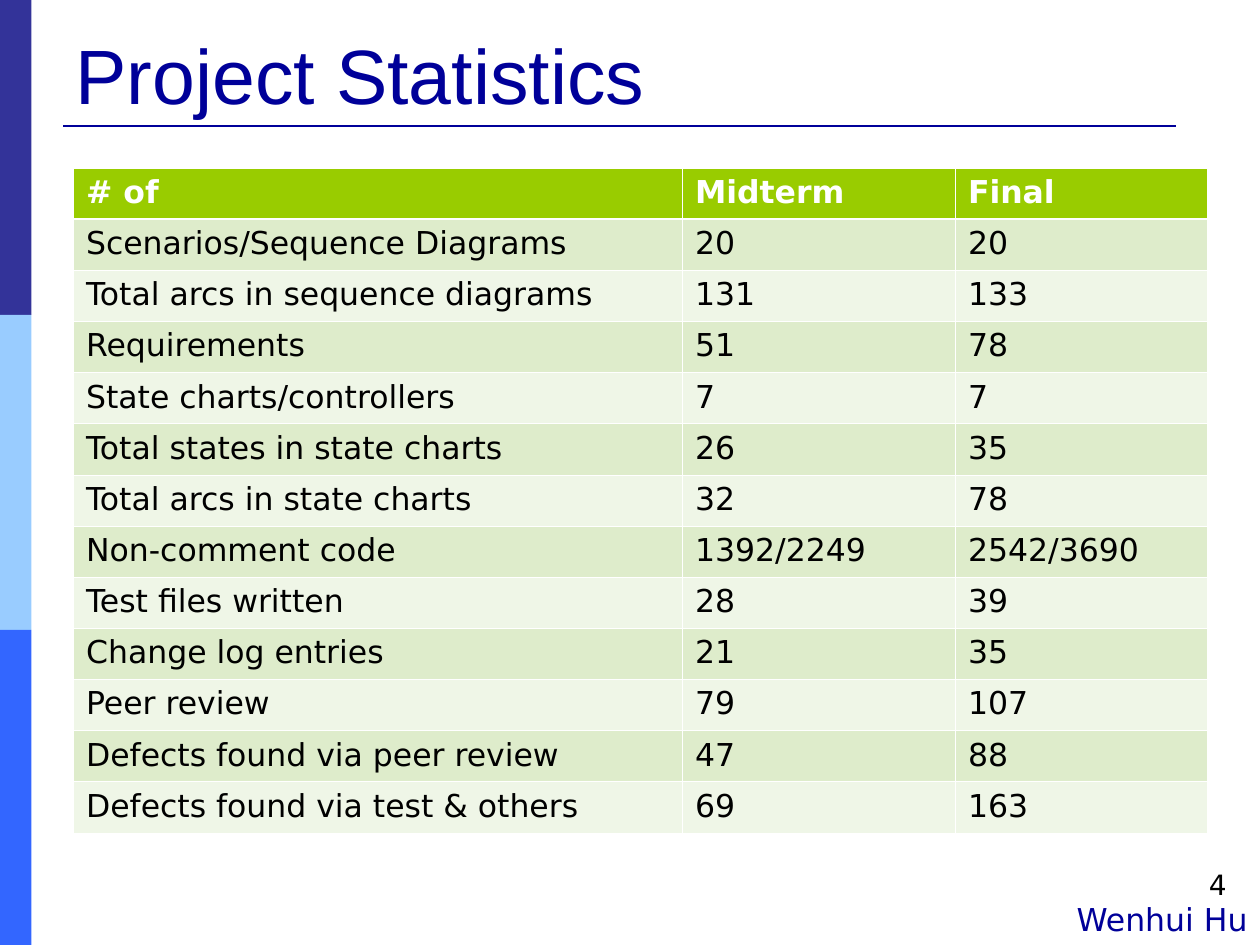
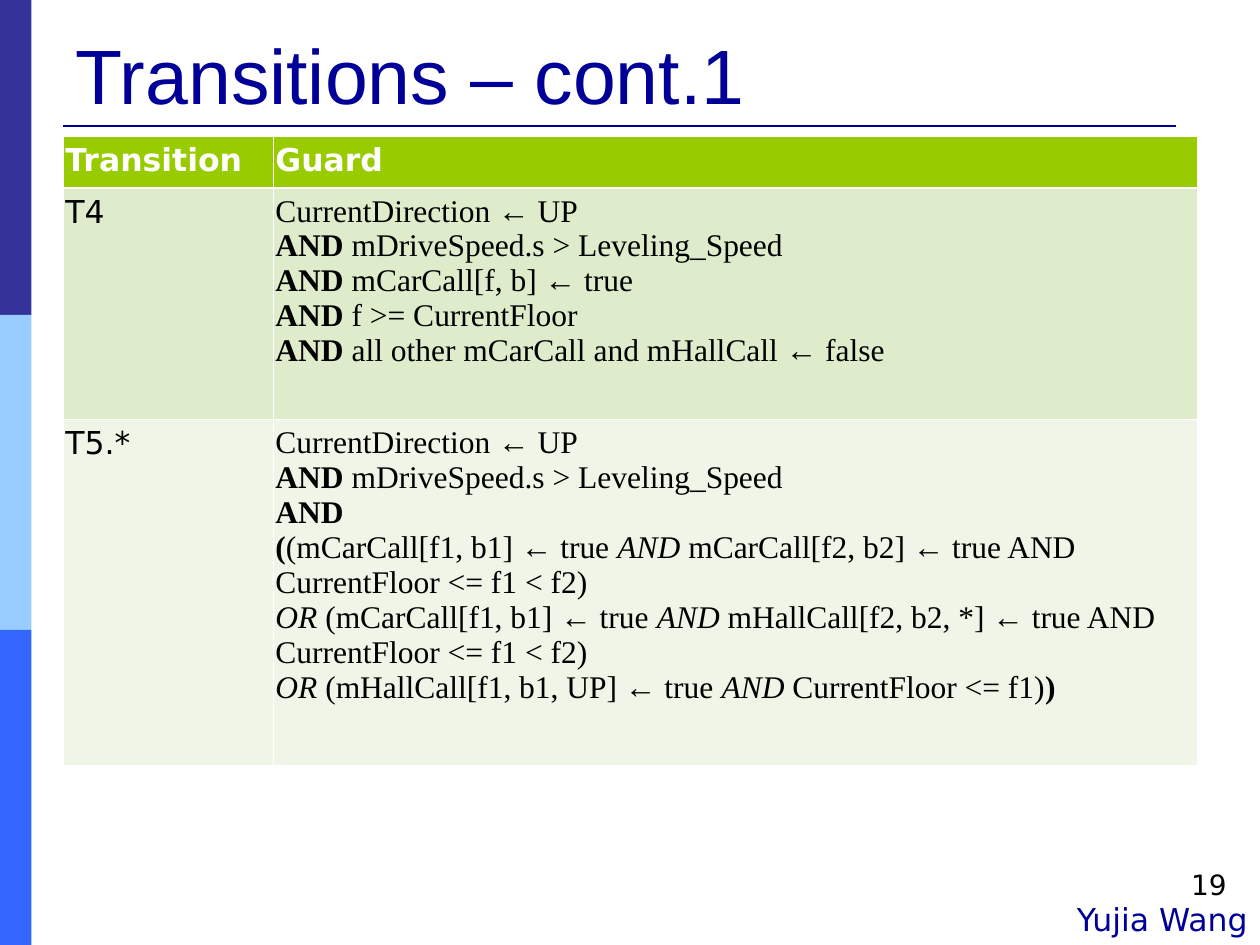
from lxml import etree
from pptx import Presentation
from pptx.dml.color import RGBColor
from pptx.enum.shapes import MSO_CONNECTOR, MSO_SHAPE
from pptx.enum.text import MSO_ANCHOR, MSO_AUTO_SIZE, PP_ALIGN
from pptx.oxml.ns import qn
from pptx.util import Pt

RECTANGLE = MSO_SHAPE.RECTANGLE
STRAIGHT = MSO_CONNECTOR.STRAIGHT
BOTTOM = MSO_ANCHOR.BOTTOM
NO_AUTOFIT = MSO_AUTO_SIZE.NONE
LEFT, RIGHT = PP_ALIGN.LEFT, PP_ALIGN.RIGHT

COLORS = {
    "navy": "000099",
    "black": "000000",
    "white": "FFFFFF",
    "header": "99CC00",
    "odd_row": "DEECCB",
    "even_row": "EFF6E7",
}
BAND_COLORS = ["333399", "99CCFF", "3366FF"]
HEADING_FONT, BODY_FONT, GUARD_FONT = "Arial", "DejaVu Sans", "Times New Roman"
SLIDE_WIDTH, SLIDE_HEIGHT = 720, 540
THIN, THICK = 0.45, 1.47

STATISTICS = [
    ("# of", "Midterm", "Final"),
    ("Scenarios/Sequence Diagrams", "20", "20"),
    ("Total arcs in sequence diagrams", "131", "133"),
    ("Requirements", "51", "78"),
    ("State charts/controllers", "7", "7"),
    ("Total states in state charts", "26", "35"),
    ("Total arcs in state charts", "32", "78"),
    ("Non-comment code", "1392/2249", "2542/3690"),
    ("Test files written", "28", "39"),
    ("Change log entries", "21", "35"),
    ("Peer review", "79", "107"),
    ("Defects found via peer review", "47", "88"),
    ("Defects found via test & others", "69", "163"),
]

PLAIN, BOLD, ITALIC = "plain", "bold", "italic"
AND = (BOLD, "AND")
INNER_AND, INNER_OR = (ITALIC, "AND"), (ITALIC, "OR")
UP_GUARD = [(PLAIN, "CurrentDirection ← UP")]
SPEED_GUARD = [AND, (PLAIN, " mDriveSpeed.s > Leveling_Speed")]

T4_GUARD = [
    UP_GUARD,
    SPEED_GUARD,
    [AND, (PLAIN, " mCarCall[f, b] ← true")],
    [AND, (PLAIN, " f >= CurrentFloor")],
    [AND, (PLAIN, " all other mCarCall and mHallCall ← false")],
]
T5_GUARD = [
    UP_GUARD,
    SPEED_GUARD,
    [AND],
    [(BOLD, "("), (PLAIN, "(mCarCall[f1, b1] ← true "), INNER_AND,
     (PLAIN, " mCarCall[f2, b2] ← true AND CurrentFloor <= f1 < f2)")],
    [INNER_OR, (PLAIN, " (mCarCall[f1, b1] ← true "), INNER_AND,
     (PLAIN, " mHallCall[f2, b2, *] ← true AND CurrentFloor <= f1 < f2)")],
    [INNER_OR, (PLAIN, " (mHallCall[f1, b1, UP] ← true "), INNER_AND,
     (PLAIN, " CurrentFloor <= f1)"), (BOLD, ")")],
]
TRANSITIONS = [("Transition", "Guard"), ("T4", T4_GUARD), ("T5.*", T5_GUARD)]

SLIDES = [
    {"title": "Project Statistics", "number": "4", "presenter": "Wenhui Hu",
     "rows": STATISTICS, "origin": (42, 96), "widths": [348, 156, 144],
     "heights": [29.25] * len(STATISTICS), "side_margin": 7.2},
    {"title": "Transitions – cont.1", "number": "19", "presenter": "Yujia Wang",
     "rows": TRANSITIONS, "origin": (36, 78), "widths": [120, 528],
     "heights": [29.25, 132.5, 197.5], "side_margin": 1.44},
]


def rgb(name):
    return RGBColor.from_string(COLORS.get(name, name))


def style_run(run, font, size, color, bold=False, italic=False):
    run.font.name = font
    run.font.size = Pt(size)
    run.font.color.rgb = rgb(color)
    run.font.bold = bold
    run.font.italic = italic


def decorate_layout(layout, slide):
    band_height = SLIDE_HEIGHT / len(BAND_COLORS)
    for i, color in enumerate(BAND_COLORS):
        band = slide.shapes.add_shape(RECTANGLE, 0, Pt(i * band_height), Pt(18), Pt(band_height))
        band.shadow.inherit = False
        band.fill.solid()
        band.fill.fore_color.rgb = rgb(color)
        band.line.fill.background()
        layout.shapes.element.append(band.element)
    rule = slide.shapes.add_connector(STRAIGHT, Pt(36), Pt(72), Pt(672), Pt(72))
    rule.line.color.rgb = rgb("navy")
    rule.line.width = Pt(1.5)
    etree.SubElement(rule.element.spPr, qn("a:effectLst"))
    layout.shapes.element.append(rule.element)


def set_title(slide, text):
    title = slide.shapes.title
    title.left, title.top, title.width, title.height = Pt(36), Pt(12), Pt(648), Pt(60)
    frame = title.text_frame
    frame.text = text
    frame.auto_size = NO_AUTOFIT
    frame.vertical_anchor = BOTTOM
    frame.paragraphs[0].alignment = LEFT
    style_run(frame.paragraphs[0].runs[0], HEADING_FONT, 44, "navy")


def add_footer(slide, text, box, size, color):
    frame = slide.shapes.add_textbox(*map(Pt, box)).text_frame
    frame.word_wrap = True
    frame.text = text
    frame.paragraphs[0].alignment = RIGHT
    style_run(frame.paragraphs[0].runs[0], BODY_FONT, size, color)


def set_borders(cell, top, bottom):
    widths = {"a:lnL": THIN, "a:lnR": THIN, "a:lnT": top, "a:lnB": bottom}
    properties = cell._tc.get_or_add_tcPr()
    for i, (side, width) in enumerate(widths.items()):
        border = etree.Element(qn(side), w=str(int(Pt(width))))
        fill = etree.SubElement(border, qn("a:solidFill"))
        etree.SubElement(fill, qn("a:srgbClr"), val=COLORS["white"])
        properties.insert(i, border)


def write_guard(frame, lines):
    for i, line in enumerate(lines):
        paragraph = frame.add_paragraph() if i else frame.paragraphs[0]
        for style, text in line:
            run = paragraph.add_run()
            run.text = text
            style_run(run, GUARD_FONT, 18, "black", style == BOLD, style == ITALIC)


def add_grid(slide, rows, origin, widths, heights, side_margin):
    box = (*origin, sum(widths), sum(heights))
    table = slide.shapes.add_table(len(rows), len(widths), *map(Pt, box)).table
    for column, width in zip(table.columns, widths):
        column.width = Pt(width)
    for r, (row, height) in enumerate(zip(rows, heights)):
        table.rows[r].height = Pt(height)
        is_header = r == 0
        fill = "header" if is_header else "odd_row" if r % 2 else "even_row"
        for c, content in enumerate(row):
            cell = table.cell(r, c)
            cell.margin_left = cell.margin_right = Pt(side_margin)
            cell.margin_top = cell.margin_bottom = Pt(3.6)
            cell.fill.solid()
            cell.fill.fore_color.rgb = rgb(fill)
            set_borders(cell, THICK if r == 1 else THIN, THICK if is_header else THIN)
            if isinstance(content, list):
                write_guard(cell.text_frame, content)
            else:
                cell.text_frame.text = content
                style_run(cell.text_frame.paragraphs[0].runs[0], BODY_FONT, 18,
                          "white" if is_header else "black", bold=is_header)


def main():
    deck = Presentation()
    deck.slide_width, deck.slide_height = Pt(SLIDE_WIDTH), Pt(SLIDE_HEIGHT)
    layout = deck.slide_layouts[5]
    for i, content in enumerate(SLIDES):
        slide = deck.slides.add_slide(layout)
        if i == 0:
            decorate_layout(layout, slide)
        set_title(slide, content["title"])
        add_grid(slide, content["rows"], content["origin"], content["widths"],
                 content["heights"], content["side_margin"])
        add_footer(slide, content["number"], (516, 492, 192, 36), 16, "black")
        add_footer(slide, content["presenter"], (384, 511, 336, 29), 18, "navy")
    deck.save("out.pptx")


if __name__ == "__main__":
    main()
